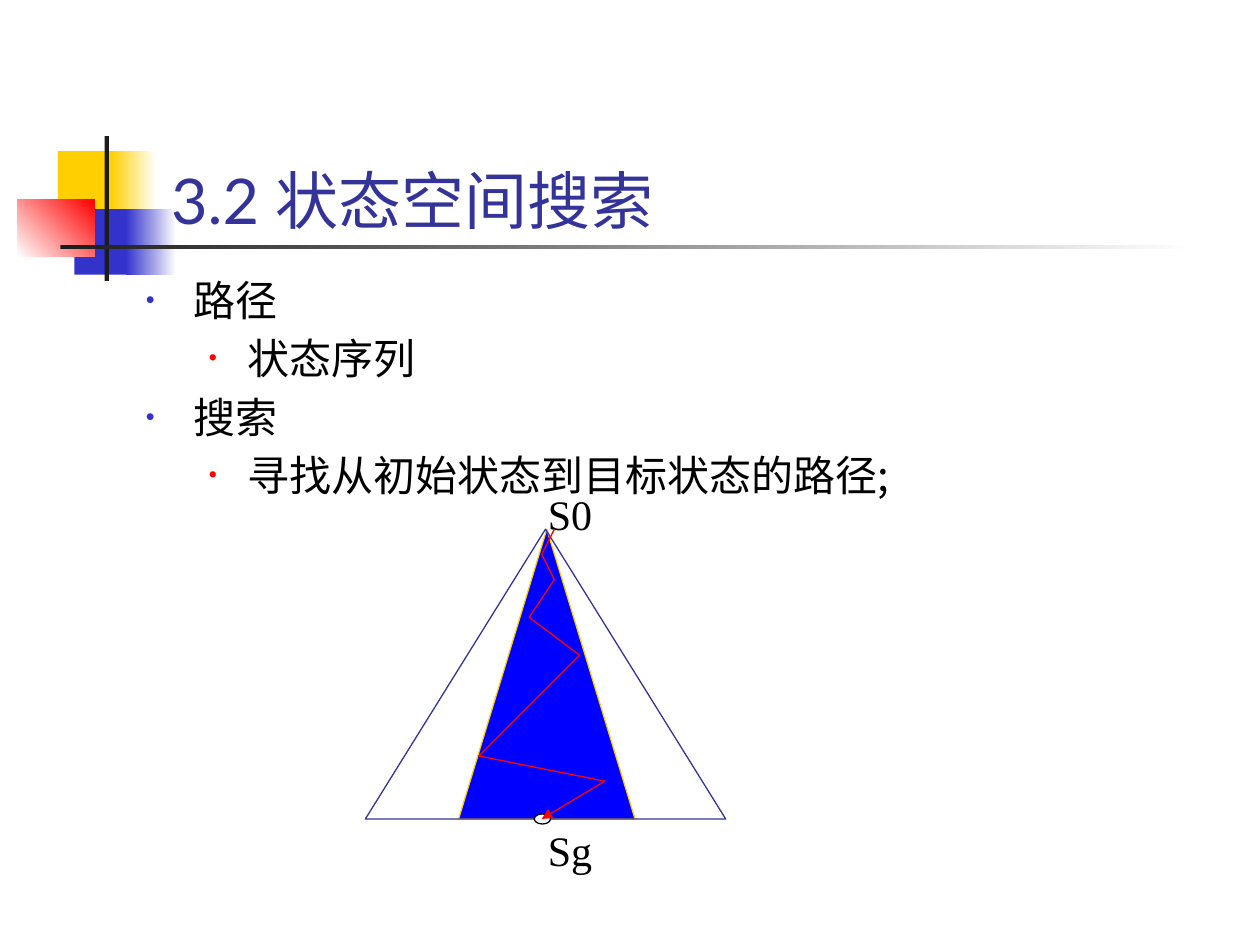
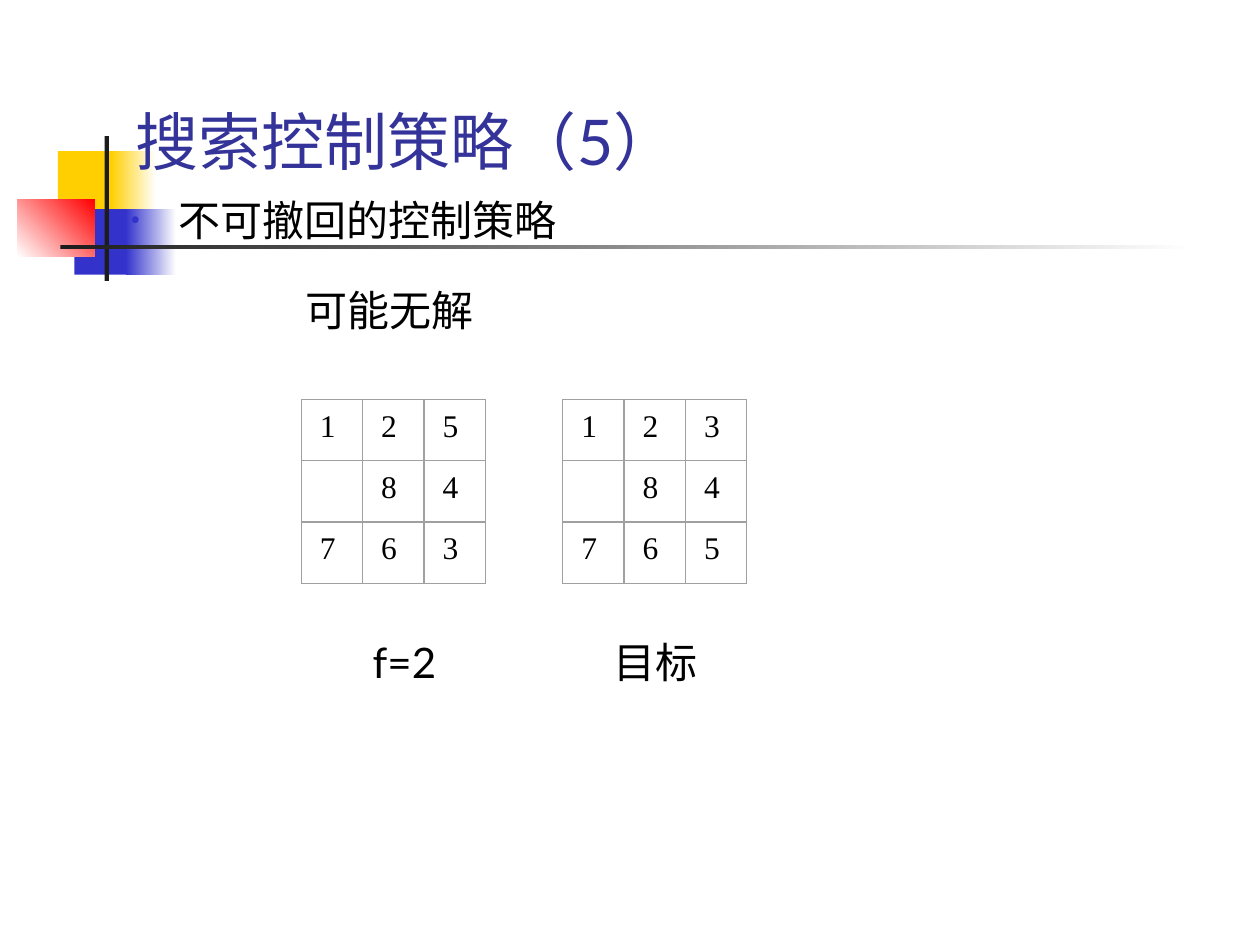
from lxml import etree
from pptx import Presentation
from pptx import util as u
from pptx.dml.color import RGBColor
from pptx.enum import shapes, text
from pptx.oxml.ns import qn

# The slide is a grid of 100 columns by 75 rows of square cells.
COLS, ROWS = 100, 75
CELL = u.Inches(0.1)

C = {"white": "FFFFFF", "black": "000000", "title": "333399", "yellow": "FFCF01",
     "blue": "3333CC", "red": "FF0000", "ink": "1C1C1C", "cone": "0000FF",
     "grid": "A0A0A0"}
LATO, CJK, TIMES = "Lato", "Noto Sans CJK JP", "Times New Roman"
KIND = shapes.MSO_SHAPE
TOP, MIDDLE, BOTTOM = (text.MSO_ANCHOR.TOP, text.MSO_ANCHOR.MIDDLE,
                       text.MSO_ANCHOR.BOTTOM)


def draw(s, kind, box, fill=None, line=None, weight=0.75, angle=0):
    """Add a preset shape; a pair of fill colours makes a gradient."""
    sp = s.shapes.add_shape(kind, *[int(v * CELL) for v in box])
    sp.shadow.inherit = False
    if fill is None:
        sp.fill.background()
    elif isinstance(fill, tuple):
        sp.fill.gradient()
        sp.fill.gradient_angle = angle
        for stop, name in zip(sp.fill.gradient_stops, fill):
            stop.color.rgb = RGBColor.from_string(C[name])
    else:
        sp.fill.solid()
        sp.fill.fore_color.rgb = RGBColor.from_string(C[fill])
    if line is None:
        sp.line.fill.background()
    else:
        sp.line.color.rgb = RGBColor.from_string(C[line])
        sp.line.width = u.Pt(weight)
    return sp


def write(s, box, lines, size=24, font=LATO, color="black", anchor=TOP, wrap=True):
    """Add a text box holding one paragraph per line."""
    tf = s.shapes.add_textbox(*[int(v * CELL) for v in box]).text_frame
    tf.word_wrap = wrap
    tf.vertical_anchor = anchor
    tf.text = "\n".join(lines)
    for p in tf.paragraphs:
        for r in p.runs:
            r.font.size = u.Pt(size)
            r.font.name = font
            r.font.color.rgb = RGBColor.from_string(C[color])
            etree.SubElement(r.font._element, qn("a:ea"), typeface=font)
    return tf


prs = Presentation()
prs.slide_width, prs.slide_height = COLS * CELL, ROWS * CELL

# Shared band: box, fill, gradient angle
BAND = [
    ((4.6, 12, 4.8, 5.2), "yellow", 0),
    ((8.8, 12, 3.6, 5.2), ("yellow", "white"), 0),
    ((5.9, 16.6, 4.6, 5.2), "blue", 0),
    ((10, 16.6, 4, 5.2), ("blue", "white"), 0),
    ((1.4, 15.8, 6.1, 4.6), ("white", "red"), 45),
    ((8.3, 10.8, 0.35, 11.5), "ink", 0),
    ((4.8, 19.45, 90, 0.35), ("ink", "white"), 0),
]
# Bullet levels: left margin and hanging indent in cells, colour, size in percent
LEVELS = [(3.75, 3.75, "blue", 60), (8.1, 3.1, "red", 55)]

# Title, title box, body box, body lines with their levels
PAGES = [
    ("3.2 状态空间搜索", (12.6, 6.8, 85.2, 12.5), (10.6, 21, 85, 45),
     [("路径", 0), ("状态序列", 1), ("搜索", 0),
      ("寻找从初始状态到目标状态的路径;", 1)]),
    ("搜索控制策略（5）", (9.8, 2.1, 85.2, 12.5), (9.4, 14.7, 88.9, 50.1),
     [("不可撤回的控制策略", 0)]),
]

for title, title_box, body_box, body in PAGES:
    s = prs.slides.add_slide(prs.slide_layouts[6])
    for box, fill, angle in BAND:
        draw(s, KIND.RECTANGLE, box, fill, angle=angle)
    write(s, title_box, [title], 36, LATO, "title", BOTTOM)

    tf = write(s, body_box, [line for line, _ in body], font=CJK)
    tf.margin_top = u.Inches(0.08)
    for p, (_, level) in zip(tf.paragraphs, body):
        margin, hang, color, percent = LEVELS[level]
        p.level = level
        p.line_spacing = u.Pt(28.6)
        p.space_after = u.Pt(4.8)
        pPr = p._p.get_or_add_pPr()
        pPr.set("marL", str(int(margin * CELL)))
        pPr.set("indent", str(int(-hang * CELL)))
        bu_color = etree.SubElement(pPr, qn("a:buClr"))
        etree.SubElement(bu_color, qn("a:srgbClr"), val=C[color])
        etree.SubElement(pPr, qn("a:buSzPct"), val=str(percent * 1000))
        etree.SubElement(pPr, qn("a:buFont"), typeface="Arial")
        etree.SubElement(pPr, qn("a:buChar"), char="•")

search, strategy = prs.slides

# Search space: the whole triangle, the searched cone and the path found
draw(search, KIND.ISOSCELES_TRIANGLE, (36.4, 42, 14, 23), "cone", "yellow")
draw(search, KIND.ISOSCELES_TRIANGLE, (29, 42, 28.6, 23), None, "title")
draw(search, KIND.OVAL, (42.4, 64.6, 1.3, 0.8), "white", "black")
for state, top in (("S0", 38.3), ("Sg", 64.9)):
    write(search, (42.5, top, 5.6, 5), [state], font=TIMES, anchor=MIDDLE, wrap=False)

PATH = [(43.7, 42), (43, 44.5), (44.4, 46.1), (41.7, 49.4),
        (45.7, 52.3), (38.4, 60.1), (47.7, 62.5), (43, 65)]
route = search.shapes.build_freeform(*PATH[0], scale=CELL)
route.add_line_segments(PATH[1:], close=False)
sp = route.convert_to_shape()
sp.shadow.inherit = False
sp.fill.background()
sp.line.color.rgb = RGBColor.from_string(C["red"])
sp.line.width = u.Pt(0.75)
etree.SubElement(sp.line._get_or_add_ln(), qn("a:tailEnd"), type="triangle")

# Eight-puzzle boards: left edge and tiles, row by row
TILE, BOARD_TOP = 4.87, 31.7
BOARDS = [(23.9, ["125", " 84", "763"]), (44.65, ["123", " 84", "765"])]
for left, rows in BOARDS:
    for i, row in enumerate(rows):
        for j, digit in enumerate(row):
            x, y = left + j * TILE, BOARD_TOP + i * TILE
            draw(strategy, KIND.RECTANGLE, (x, y, TILE, TILE), None, "grid", 0)
            if digit != " ":
                write(strategy, (x + 0.5, y, 3.9, TILE), [digit], 18, TIMES)
    draw(strategy, KIND.RECTANGLE, (left, BOARD_TOP, 3 * TILE, 3 * TILE), None, "grid")

write(strategy, (23.3, 22.1, 43.9, 5), ["可能无解"])
write(strategy, (47.7, 50, 14.9, 5.1), ["目标"])
write(strategy, (28.6, 50, 8.1, 5.1), ["f=2"])

prs.save("out.pptx")
